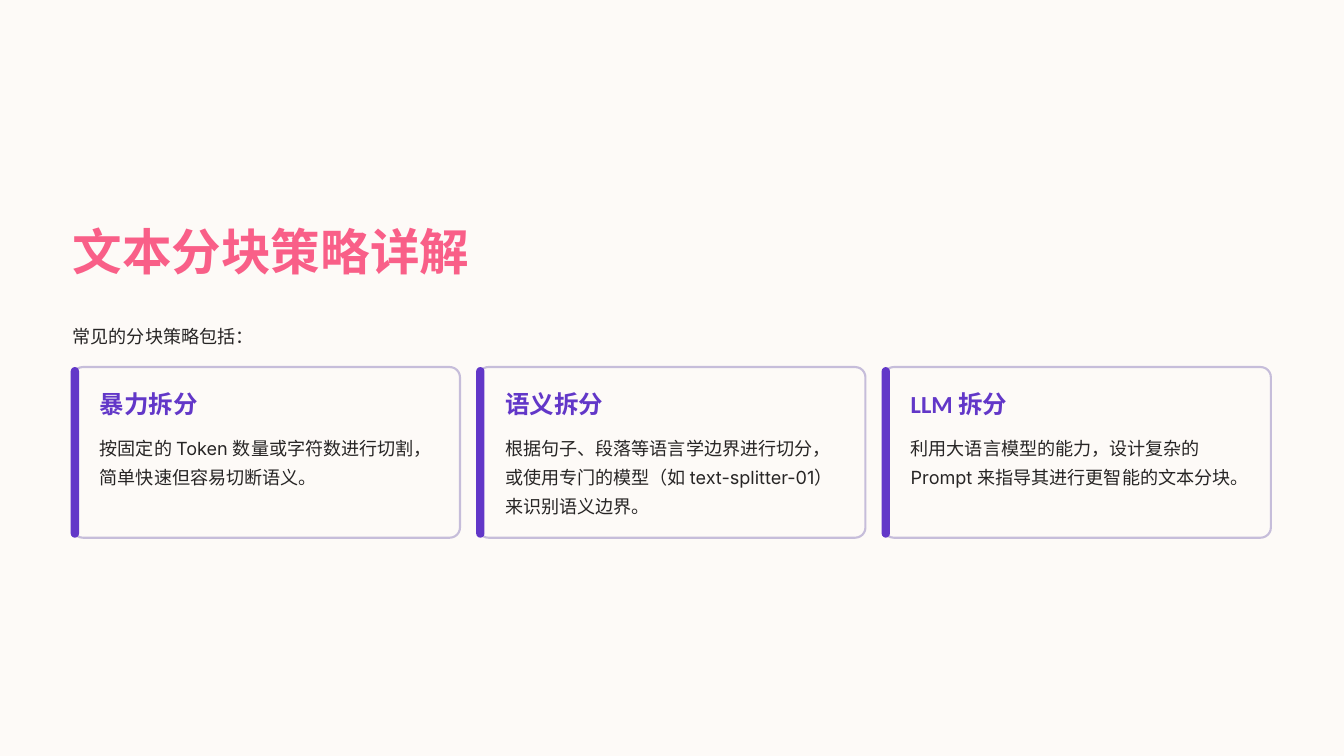
from pptx import Presentation
from pptx.dml.color import RGBColor
from pptx.enum.shapes import MSO_SHAPE as Shape
from pptx.util import Cm, Pt

CREAM = RGBColor(0xFD, 0xFA, 0xF7)
PINK = RGBColor(0xF9, 0x5F, 0x88)
INK = RGBColor(0x27, 0x25, 0x25)
PURPLE = RGBColor(0x62, 0x37, 0xC8)
LILAC = RGBColor(0xC6, 0xBD, 0xDA)

LEFT, TOP = 2.2, 11.1
WIDTH, HEIGHT = 11.71, 5.16
PITCH = 12.26

# Font, size, line spacing, colour, bold
TITLE = ("Calibri", 42.5, 53.5, PINK, True)
HEAD = ("Calibri", 21, 26.5, PURPLE, True)
BODY = ("Inter", 15.5, 25, INK, False)

CARDS = [
    ("暴力拆分", "按固定的 Token 数量或字符数进行切割，简单快速但容易切断语义。"),
    ("语义拆分", "根据句子、段落等语言学边界进行切分，"
     "或使用专门的模型（如 text-splitter-01）来识别语义边界。"),
    ("LLM 拆分", "利用大语言模型的能力，设计复杂的 Prompt 来指导其进行更智能的文本分块。"),
]


def add_text(slide, text, style, box, wrap=False):
    name, size, lead, color, bold = style
    frame = slide.shapes.add_textbox(*map(Cm, box)).text_frame
    frame.margin_left = frame.margin_right = 0
    frame.margin_top = frame.margin_bottom = 0
    frame.word_wrap = wrap
    para = frame.paragraphs[0]
    para.text = text
    para.line_spacing = Pt(lead)
    font = para.font
    font.name, font.size, font.bold = name, Pt(size), bold
    font.color.rgb = color


def add_panel(slide, box, fill, radius, line=None):
    """Add a rounded rectangle; radius is a share of its shorter side."""
    panel = slide.shapes.add_shape(Shape.ROUNDED_RECTANGLE, *map(Cm, box))
    panel.adjustments[0] = radius
    panel.shadow.inherit = False
    panel.fill.solid()
    panel.fill.fore_color.rgb = fill
    if line is None:
        panel.line.fill.background()
    else:
        panel.line.color.rgb = line
        panel.line.width = Pt(1.8)


def add_card(slide, left, head, body):
    add_panel(slide, (left, TOP, WIDTH, HEIGHT), CREAM, 0.06, LILAC)
    add_panel(slide, (left - 0.06, TOP, 0.25, HEIGHT), PURPLE, 0.5)
    inner = left + 0.82
    add_text(slide, head, HEAD, (inner, TOP + 0.61, 7.57, 0.94))
    add_text(slide, body, BODY, (inner, TOP + 1.9, 10.29, 2.64), wrap=True)


def main():
    deck = Presentation()
    deck.slide_width, deck.slide_height = Cm(40.64), Cm(22.86)
    slide = deck.slides.add_slide(deck.slide_layouts[6])
    back = slide.background.fill
    back.solid()
    back.fore_color.rgb = CREAM

    add_text(slide, "文本分块策略详解", TITLE, (LEFT, 6.6, 15.16, 1.9))
    add_text(slide, "常见的分块策略包括：", BODY, (LEFT, 9.6, 36.22, 0.89))
    for i, (head, body) in enumerate(CARDS):
        add_card(slide, LEFT + i * PITCH, head, body)
    deck.save("out.pptx")


if __name__ == "__main__":
    main()
